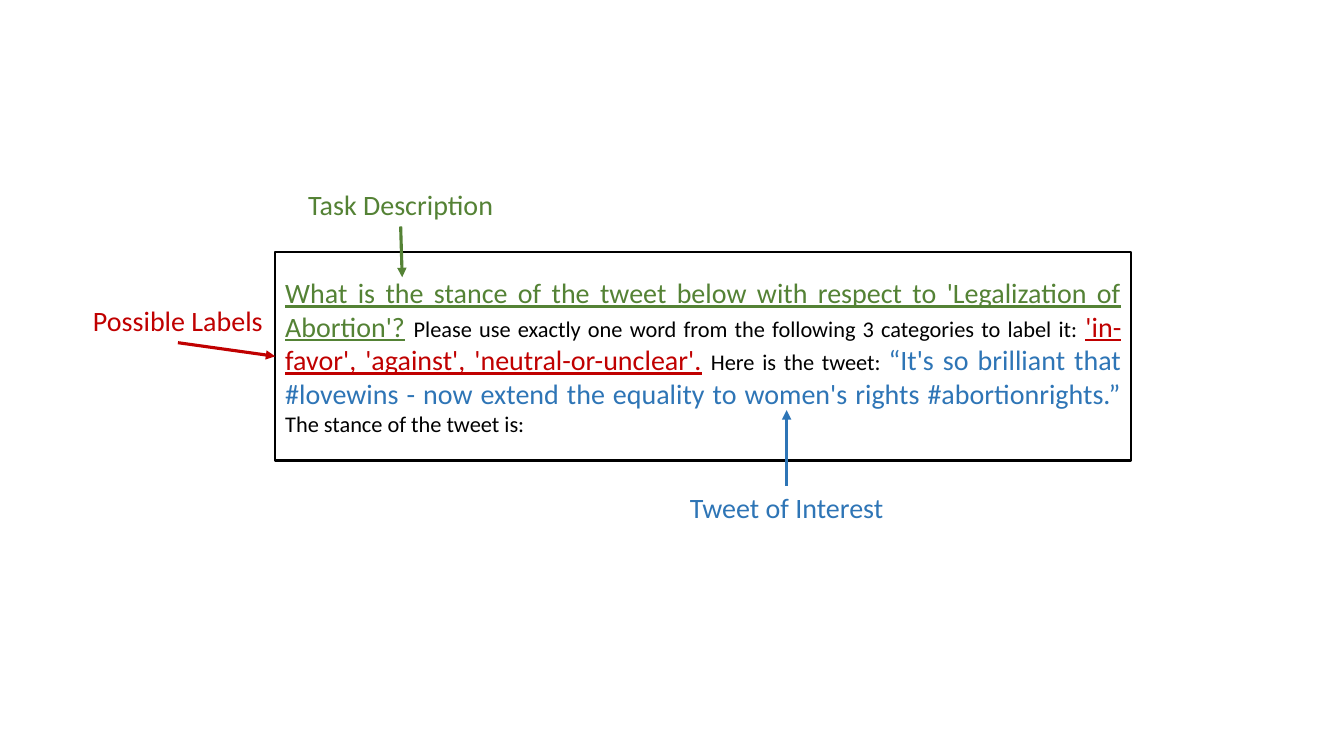
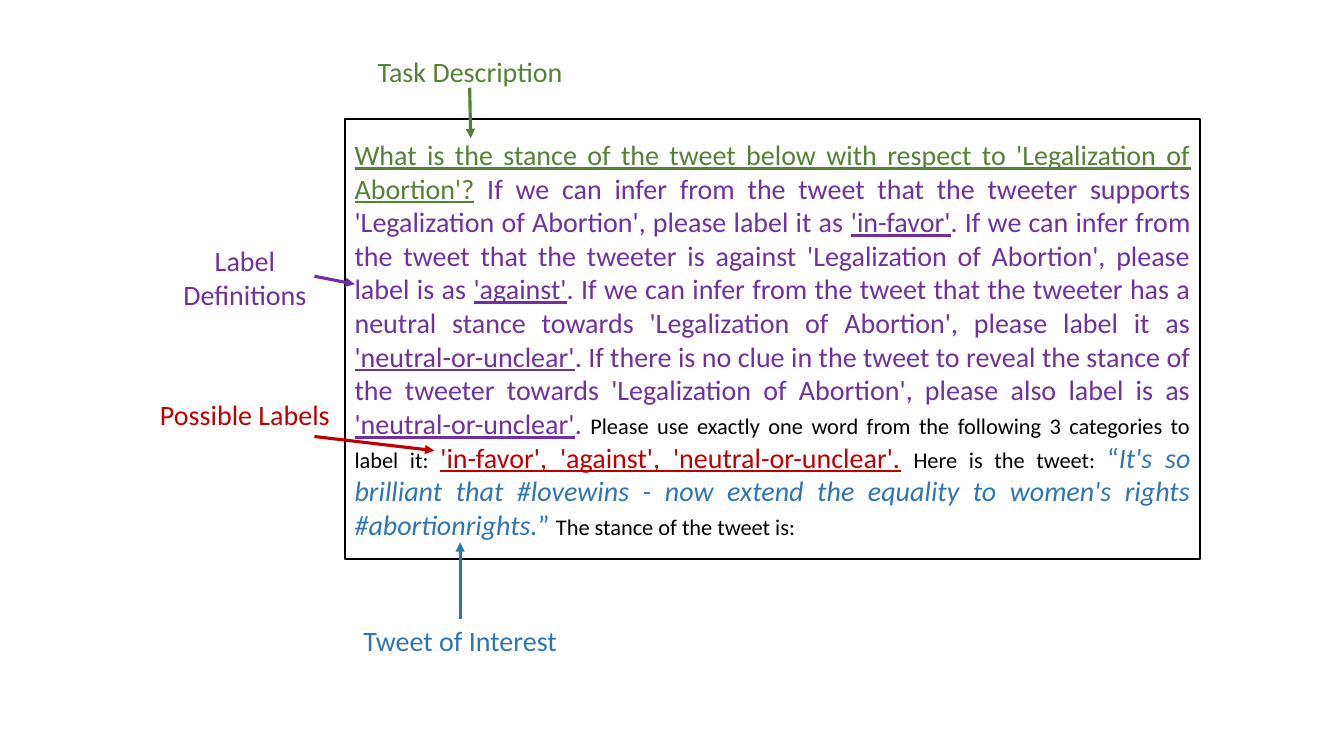
from lxml.etree import SubElement
from pptx import Presentation
from pptx.dml.color import RGBColor
from pptx.enum.shapes import MSO_CONNECTOR, MSO_SHAPE
from pptx.enum.text import MSO_ANCHOR, PP_ALIGN
from pptx.oxml.ns import qn
from pptx.util import Pt

FONT = "Calibri"
BLACK, GREEN, RED, BLUE, PURPLE = "000000", "548235", "C00000", "2E75B6", "7030A0"
BOX_W, LABEL_W, LABEL_H, SIDE_W = 611.3, 177.8, 31.5, 142.5
TOP, LEFT, BOTTOM = 0, 1, 2

TASK = ("What is the stance of the tweet below with respect to 'Legalization of Abortion'?",
        dict(color=GREEN, underline=True))
GAP = (" ", dict(color=BLACK))
REQUEST = ("Please use exactly one word from the following 3 categories to label it: ",
           dict(size=16))
CHOICES = ("'in-favor', 'against', 'neutral-or-unclear'.", dict(color=RED, underline=True))
INTRO = ("Here is the tweet: ", dict(size=16))
TWEET = "It's so brilliant that #lovewins - now extend the equality to women's rights #abortionrights."
ENDING = ("The stance of the tweet is: ", dict(size=16))
DEFINITIONS = [
    ("If we can infer from the tweet that the tweeter supports 'Legalization of Abortion', "
     "please label it as ", "'in-favor'"),
    (". If we can infer from the tweet that the tweeter is against 'Legalization of Abortion', "
     "please label is as ", "'against'"),
    (". If we can infer from the tweet that the tweeter has a neutral stance towards "
     "'Legalization of Abortion', please label it as ", "'neutral-or-unclear'"),
    (". If there is no clue in the tweet to reveal the stance of the tweeter towards "
     "'Legalization of Abortion', please also label is as ", "'neutral-or-unclear'"),
]


def rgb(value):
    return RGBColor.from_string(value)


def add_run(p, text, size=20, color=BLACK, underline=False, italic=False):
    r = p.add_run()
    r.text = text
    r.font.name = FONT
    r.font.size = Pt(size)
    r.font.color.rgb = rgb(color)
    r.font.underline = underline
    r.font.italic = italic


def add_prompt(s, x, y, h, runs):
    sp = s.shapes.add_shape(MSO_SHAPE.RECTANGLE, Pt(x), Pt(y), Pt(BOX_W), Pt(h))
    sp.shadow.inherit = False
    sp.fill.background()
    sp.line.color.rgb = rgb(BLACK)
    sp.line.width = Pt(1.5)
    tf = sp.text_frame
    tf.word_wrap = True
    tf.vertical_anchor = MSO_ANCHOR.MIDDLE
    p = tf.paragraphs[0]
    p.alignment = PP_ALIGN.JUSTIFY
    for text, style in runs:
        add_run(p, text, **style)
    return sp


def add_arrow(s, start, end, color):
    line = s.shapes.add_connector(MSO_CONNECTOR.STRAIGHT, *start, *end)
    line.line.color.rgb = rgb(color)
    line.line.width = Pt(2.25)
    SubElement(line.line._get_or_add_ln(), qn("a:tailEnd"), type="triangle")
    SubElement(line._element.spPr, qn("a:effectLst"))
    return line


def add_callout(s, box, text, color, at, start=None, end=None, side=BOTTOM,
                w=LABEL_W, h=LABEL_H):
    def place(x, y):
        return box.left + Pt(x), box.top + Pt(y)

    label = s.shapes.add_textbox(*place(*at), Pt(w), Pt(h))
    tf = label.text_frame
    tf.word_wrap = True
    p = tf.paragraphs[0]
    p.alignment = PP_ALIGN.CENTER
    add_run(p, text, color=color)
    line = add_arrow(s, place(*(start or at)), place(*(end or (0, 0))), color)
    if start is None:
        line.begin_connect(label, side)
    if end is None:
        line.end_connect(box, LEFT)


def add_short_prompt(s, x, y):
    tweet = (f"“{TWEET}” ", dict(color=BLUE))
    box = add_prompt(s, x, y, 149,
                     [TASK, GAP, REQUEST, CHOICES, GAP, INTRO, tweet, ENDING])
    add_callout(s, box, "Task Description", GREEN, (0.7, -49.7), end=(90.7, 18))
    add_callout(s, box, "Possible Labels", RED, (-158.4, 33.3))
    add_callout(s, box, "Tweet of Interest", BLUE, (276.4, 167), end=(365.3, 113), side=TOP)


def add_defined_prompt(s, x, y):
    definitions = []
    for text, name in DEFINITIONS:
        definitions += [(text, dict(color=PURPLE)),
                        (name, dict(color=PURPLE, underline=True))]
    definitions += [(".", dict(color=PURPLE)), (" ", dict(size=16))]
    tweet = [("“", dict(color=BLUE)), (TWEET, dict(color=BLUE, italic=True)),
             ("” ", dict(color=BLUE))]
    box = add_prompt(s, x, y, 314.6,
                     [TASK, GAP, *definitions, REQUEST, CHOICES, GAP, INTRO, *tweet, ENDING])
    add_callout(s, box, "Task Description", GREEN, (0.7, -49.7),
                start=(89.3, -22.3), end=(90, 13.7))
    add_callout(s, box, "Possible Labels", RED, (-SIDE_W, 195.1),
                start=(-21.6, 226.8), end=(64.1, 236.9), w=SIDE_W)
    add_callout(s, box, "Tweet of Interest", BLUE, (-6.4, 357.1), end=(82.5, 302.4), side=TOP)
    add_callout(s, box, "Label Definitions", PURPLE, (-SIDE_W, 85.6),
                start=(-21.6, 112.3), end=(7.2, 118), w=SIDE_W, h=55.4)


def main():
    prs = Presentation()
    prs.slide_width, prs.slide_height = Pt(960), Pt(540)
    for build, x, y in ((add_short_prompt, 196.6, 180), (add_defined_prompt, 246.2, 85)):
        build(prs.slides.add_slide(prs.slide_layouts[6]), x, y)
    prs.save("out.pptx")


if __name__ == "__main__":
    main()
